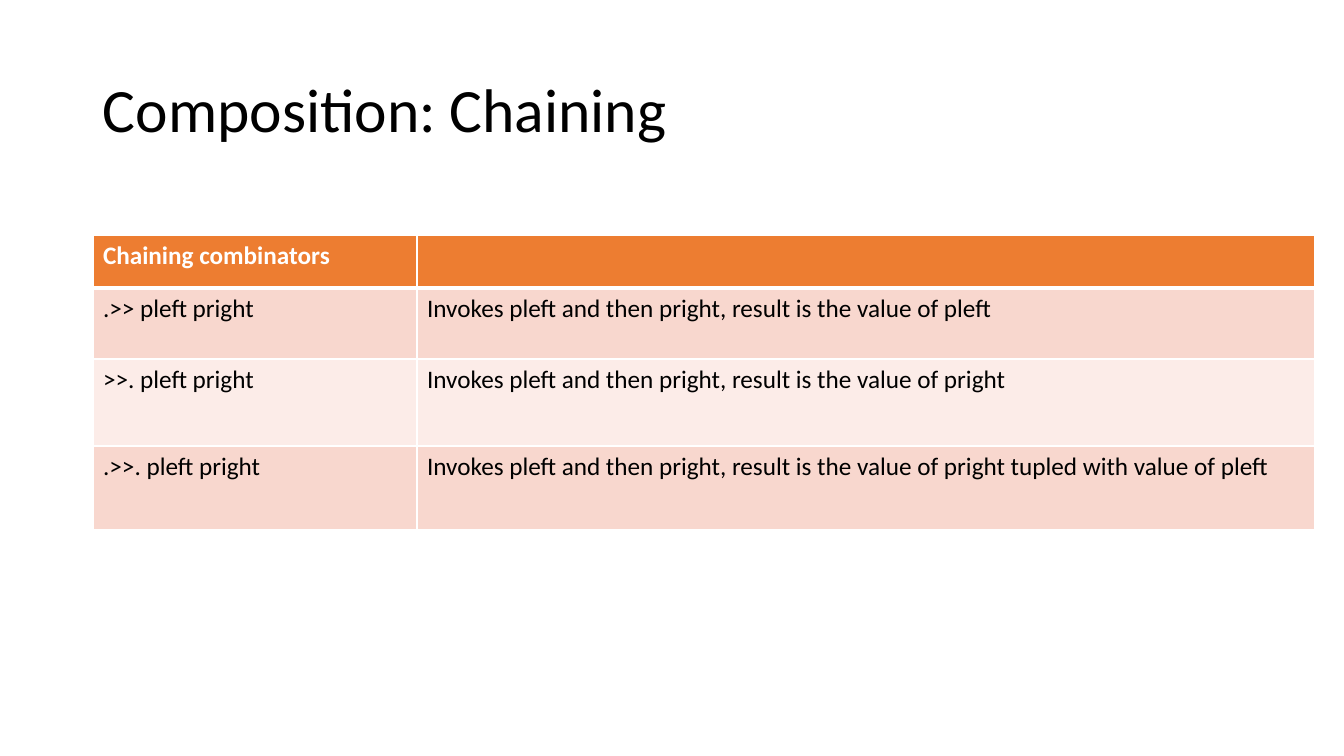
"""Build a slide with a table of chaining combinators."""
from lxml.etree import SubElement
from pptx import Presentation
from pptx.dml.color import RGBColor
from pptx.enum.text import MSO_ANCHOR
from pptx.oxml.ns import qn
from pptx.util import Pt

EMU_PER_PIXEL = 914400 / 100.8
FONT = "Calibri"
BLACK = RGBColor(0x00, 0x00, 0x00)
WHITE = RGBColor(0xFF, 0xFF, 0xFF)
ORANGE = RGBColor(0xED, 0x7D, 0x31)
BANDS = (RGBColor(0xF8, 0xD7, 0xCE), RGBColor(0xFC, 0xEC, 0xE8))

COLUMN_WIDTHS = (324, 898)
ROW_HEIGHTS = (53, 71, 87, 84)
COMBINATORS = (
    ("Chaining combinators", ""),
    (".>> pleft pright", "Invokes pleft and then pright, result is the value of pleft"),
    (">>. pleft pright", "Invokes pleft and then pright, result is the value of pright"),
    (".>>. pleft pright", "Invokes pleft and then pright, result is the value of pright "
                          "tupled with value of pleft"),
)


def pixels(length):
    """Turn picture pixels into EMU."""
    return round(length * EMU_PER_PIXEL)


def write_text(text_frame, text, size=18, color=BLACK, bold=False, line_spacing=None):
    """Write one formatted paragraph into a text frame."""
    paragraph = text_frame.paragraphs[0]
    paragraph.line_spacing = line_spacing
    paragraph.font.size = Pt(size)
    if text:
        run = paragraph.add_run()
        run.text = text
        run.font.name = FONT
        run.font.size = Pt(size)
        run.font.bold = bold
        run.font.color.rgb = color


def add_title(slide, text, left, top, width, height):
    """Add the slide title, centred vertically in its box."""
    text_box = slide.shapes.add_textbox(*map(pixels, (left, top, width, height)))
    text_box.text_frame.word_wrap = True
    text_box.text_frame.vertical_anchor = MSO_ANCHOR.MIDDLE
    write_text(text_box.text_frame, text, size=44, line_spacing=0.9)


def set_borders(cell, color, **widths):
    """Draw the cell borders, with widths in points by side."""
    properties = cell._tc.get_or_add_tcPr()
    for side in ("L", "R", "T", "B"):
        line = SubElement(properties, qn(f"a:ln{side}"), w=str(Pt(widths.get(side, 1))))
        fill = SubElement(line, qn("a:solidFill"))
        SubElement(fill, qn("a:srgbClr"), val=str(color))


def style_cell(cell, text, row_index):
    """Fill one cell as a header or as part of a banded row."""
    is_header = row_index == 0
    heavy_side = {0: {"B": 3}, 1: {"T": 3}}.get(row_index, {})
    set_borders(cell, WHITE, **heavy_side)
    cell.fill.solid()
    cell.fill.fore_color.rgb = ORANGE if is_header else BANDS[(row_index - 1) % 2]
    write_text(cell.text_frame, text, color=WHITE if is_header else BLACK, bold=is_header)


def add_combinator_table(slide, left, top):
    """Add the table of combinators and their meanings."""
    bounds = (left, top, sum(COLUMN_WIDTHS), sum(ROW_HEIGHTS))
    table = slide.shapes.add_table(
        len(ROW_HEIGHTS), len(COLUMN_WIDTHS), *map(pixels, bounds)).table
    for column, width in zip(table.columns, COLUMN_WIDTHS):
        column.width = pixels(width)
    for row_index, (row, texts) in enumerate(zip(table.rows, COMBINATORS)):
        row.height = pixels(ROW_HEIGHTS[row_index])
        for cell, text in zip(row.cells, texts):
            style_cell(cell, text, row_index)


def main():
    """Build and save the presentation."""
    presentation = Presentation()
    presentation.slide_width = pixels(1344)
    presentation.slide_height = pixels(756)
    slide = presentation.slides.add_slide(presentation.slide_layouts[6])
    add_title(slide, "Composition: Chaining", 93, 40, 1159, 146)
    add_combinator_table(slide, 93, 235)
    presentation.save("out.pptx")


main()
